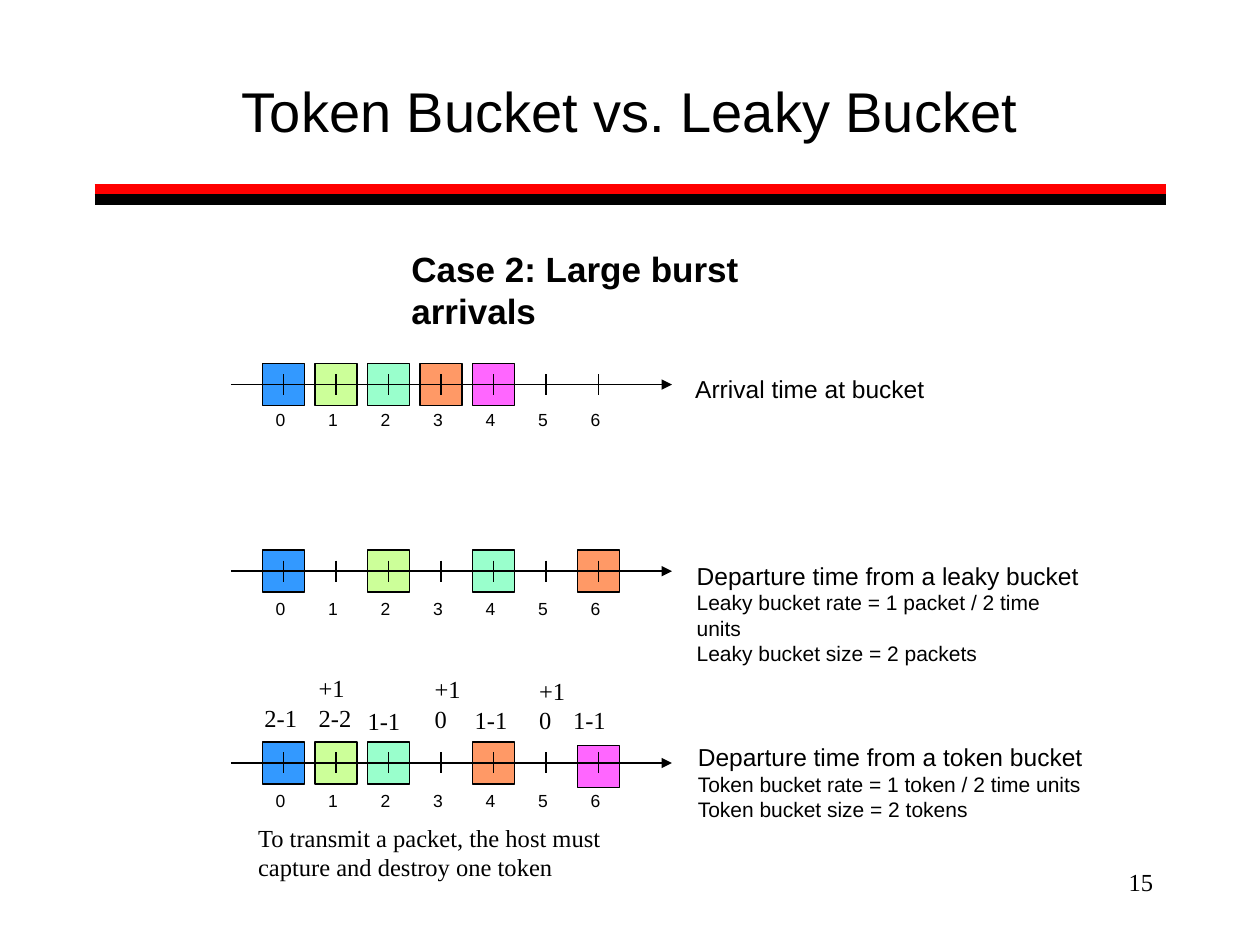
from lxml.etree import SubElement
from pptx import Presentation
from pptx.dml.color import RGBColor
from pptx.enum.shapes import MSO_CONNECTOR, MSO_SHAPE
from pptx.enum.text import MSO_ANCHOR, PP_ALIGN
from pptx.oxml.ns import qn
from pptx.util import Pt

BLACK = RGBColor(0x00, 0x00, 0x00)
RED = RGBColor(0xFF, 0x00, 0x00)
BLUE = RGBColor(0x33, 0x99, 0xFF)
LIME = RGBColor(0xCC, 0xFF, 0x99)
MINT = RGBColor(0x99, 0xFF, 0xCC)
ORANGE = RGBColor(0xFF, 0x99, 0x66)
PINK = RGBColor(0xFF, 0x66, 0xFF)
SANS, SERIF = "Arial", "Times New Roman"

# axis y, number top, packets (time, colour, drop below the row),
# caption (left, top, width, height), caption lines
ROWS = [
    (219.75, 230.4,
     [(0, BLUE, 0), (1, LIME, 0), (2, MINT, 0), (3, ORANGE, 0), (4, PINK, 0)],
     (390.2, 210.2, 145.4, 24.5),
     ["Arrival time at bucket"]),
    (326.4, 338.4,
     [(0, BLUE, 0), (2, LIME, 0), (4, MINT, 0), (6, ORANGE, 0)],
     (391, 316.8, 239, 53.3),
     ["Departure time from a leaky bucket",
      "Leaky bucket rate = 1 packet / 2 time units",
      "Leaky bucket size = 2 packets"]),
    (436, 447.8,
     [(0, BLUE, 0), (1, LIME, 0), (2, MINT, 0), (4, ORANGE, 0), (6, PINK, 2)],
     (391.7, 420.5, 234.7, 53.3),
     ["Departure time from a token bucket",
      "Token bucket rate = 1 token / 2 time units",
      "Token bucket size = 2 tokens"]),
]
# left, bottom, width, lines
TOKENS = [
    (144, 421.9, 38.9, ["2-1"]),
    (175, 421.9, 38.9, ["+1", "2-2"]),
    (203, 424.1, 38.9, ["1-1"]),
    (241.2, 422.6, 34.6, ["+1", "0"]),
    (264.2, 423.4, 38.9, ["1-1"]),
    (301, 423.4, 34.6, ["+1", "0"]),
    (320.4, 423.4, 38.9, ["1-1"]),
]
TIMES = 7
STEP, FIRST = 30, 162
SIDE, TICK = 24, 12

prs = Presentation()
prs.slide_width, prs.slide_height = Pt(720), Pt(540)
slide = prs.slides.add_slide(prs.slide_layouts[6])
shapes = slide.shapes


def write(box, lines, sizes, face=SANS, bold=False, wrap=True,
          align=PP_ALIGN.LEFT, anchor=MSO_ANCHOR.TOP):
    """Place a text box; the last size serves all further lines."""
    frame = shapes.add_textbox(*map(Pt, box)).text_frame
    frame.word_wrap = wrap
    frame.vertical_anchor = anchor
    frame.text = "\n".join(lines)
    for i, para in enumerate(frame.paragraphs):
        para.alignment = align
        font = para.font
        font.name, font.bold = face, bold
        font.size = Pt(sizes[min(i, len(sizes) - 1)])
        font.color.rgb = BLACK


def rule(x1, y1, x2, y2, width=1, color=BLACK, arrow=False):
    line = shapes.add_connector(MSO_CONNECTOR.STRAIGHT,
                                Pt(x1), Pt(y1), Pt(x2), Pt(y2))
    line.line.width = Pt(width)
    line.line.color.rgb = color
    if arrow:
        SubElement(line.line._get_or_add_ln(), qn("a:tailEnd"), type="triangle")
    SubElement(line._element.spPr, qn("a:effectLst"))


def packet(time, y, color):
    box = shapes.add_shape(MSO_SHAPE.RECTANGLE,
                           Pt(FIRST + time * STEP - SIDE / 2),
                           Pt(y - SIDE / 2), Pt(SIDE), Pt(SIDE))
    box.shadow.inherit = False
    box.fill.solid()
    box.fill.fore_color.rgb = color
    box.line.color.rgb = BLACK
    box.line.width = Pt(1)


rule(54, 108, 666, 108, 6, RED)
rule(54, 114, 666, 114, 6)
write((54, 30, 612, 66), ["Token Bucket vs. Leaky Bucket"], [32],
      align=PP_ALIGN.CENTER, anchor=MSO_ANCHOR.MIDDLE)
write((228, 138, 278, 31.7), ["Case 2: Large burst arrivals"], [20],
      bold=True, wrap=False)

for y, top, packets, place, caption in ROWS:
    for time, color, drop in packets:
        packet(time, y + drop, color)
    rule(132, y, 384, y, arrow=True)
    for time in range(TIMES):
        x = FIRST + time * STEP
        rule(x, y - TICK / 2, x, y + TICK / 2)
        write((x - 11.5, top, 19.4, 19.4), [str(time)], [10], wrap=False)
    write(place, caption, [14, 12], wrap=False)

for left, bottom, width, lines in TOKENS:
    tall = 7.2 + 16.9 * len(lines)
    write((left, bottom - tall, width, tall), lines, [14], SERIF,
          anchor=MSO_ANCHOR.BOTTOM)

write((140.4, 466.6, 247.7, 41),
      ["To transmit a packet, the host must", "capture and destroy one token"],
      [14], SERIF)
write((516, 492, 150, 36), ["15"], [14], SERIF, align=PP_ALIGN.RIGHT)

prs.save("out.pptx")
